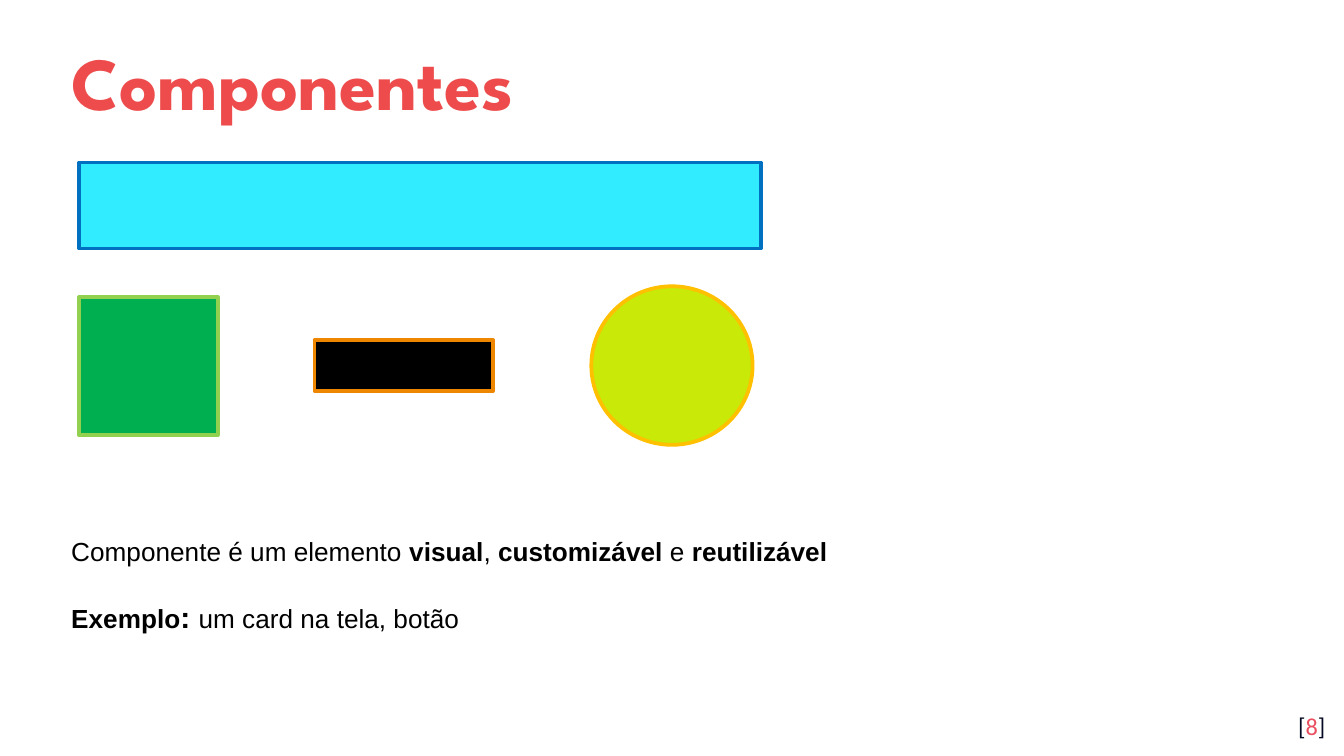
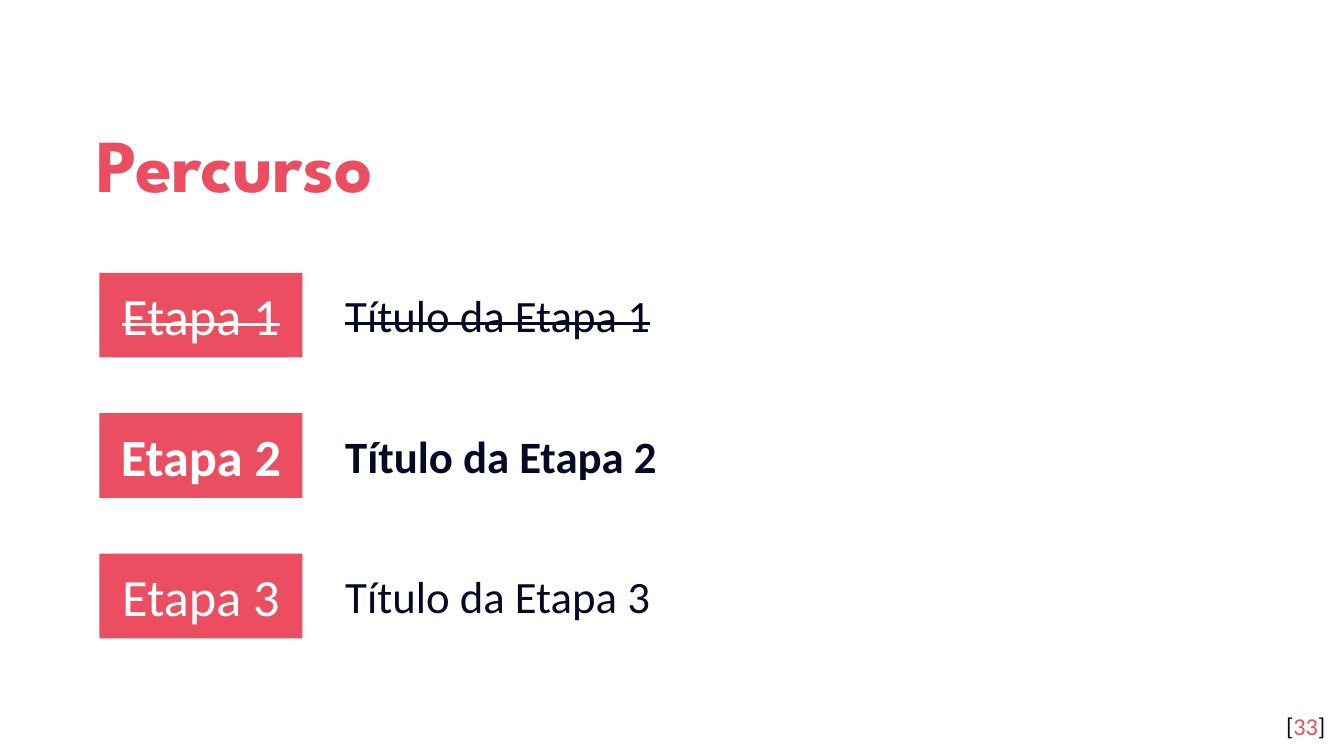
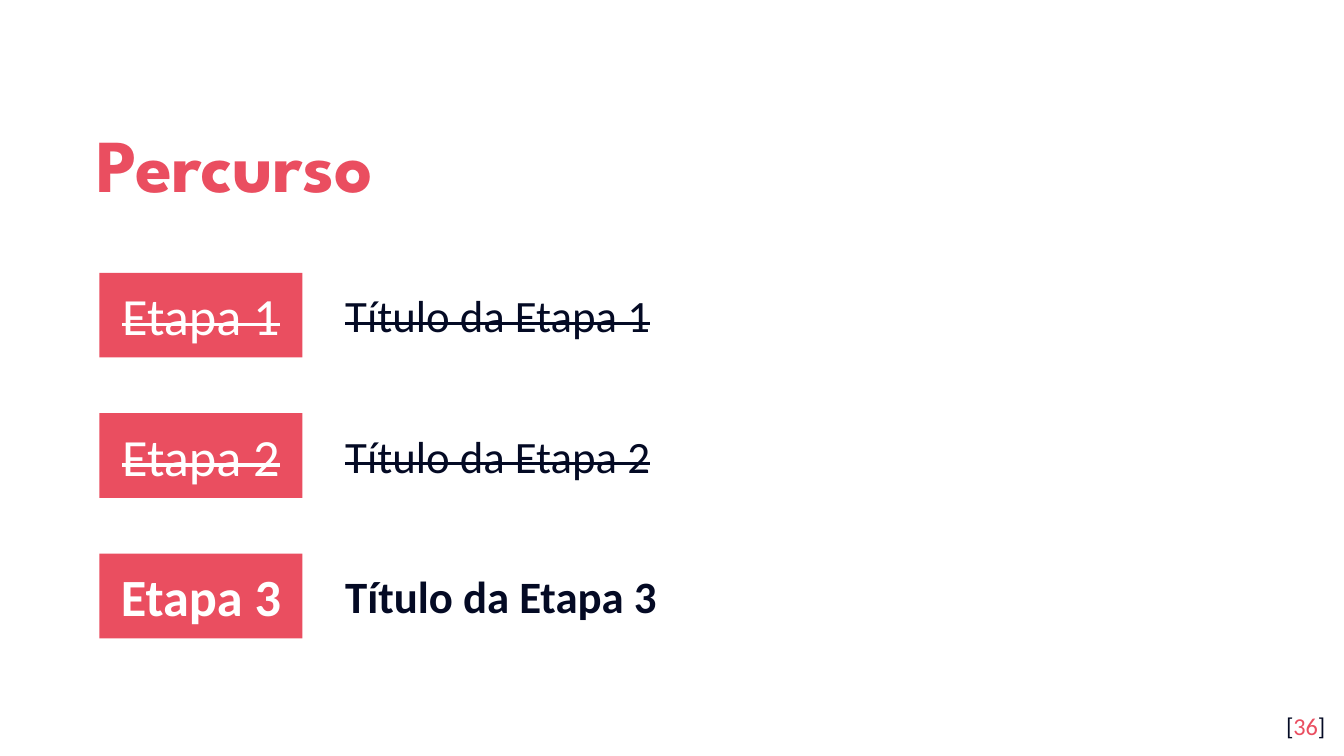
import pptx
import pptx.dml.color
import pptx.enum.shapes
import pptx.enum.text
import pptx.oxml.ns
import pptx.util
from lxml import etree

Inches = pptx.util.Inches
Shape = pptx.enum.shapes.MSO_SHAPE
Align = pptx.enum.text.PP_ALIGN
Anchor = pptx.enum.text.MSO_ANCHOR

RED = "EA4E60"
NAVY = "040A24"
WHITE = "FFFFFF"
BLACK = "000000"
TITLE_FONT = "League Spartan"
STEP_FONT = "Calibri"
BODY_FONT = "Arial"

SLIDE_WIDTH = 10
SLIDE_HEIGHT = SLIDE_WIDTH * 9 / 16
TITLE_ONLY = 5
TITLE_AND_CONTENT = 1

STEP_COUNT = 3
FIRST_STEP_TOP = 2.03
LAST_STEP_TOP = 4.12
STEP_HEIGHT = 0.63
STEP_TITLE_HEIGHT = 0.5


def color(value):
    return pptx.dml.color.RGBColor.from_string(value)


def place(box, left, top, width, height):
    box.left, box.top = Inches(left), Inches(top)
    box.width, box.height = Inches(width), Inches(height)


def set_frame(box, anchor, vertical_inset):
    frame = box.text_frame
    frame.word_wrap = True
    frame.auto_size = pptx.enum.text.MSO_AUTO_SIZE.NONE
    frame.vertical_anchor = anchor
    frame.margin_left = frame.margin_right = Inches(0.1)
    frame.margin_top = frame.margin_bottom = Inches(vertical_inset)
    return frame


def add_span(para, text, font, size, fill, bold=False, strike=False):
    span = para.add_run()
    span.text = text
    span.font.name = font
    span.font.size = pptx.util.Pt(size)
    span.font.color.rgb = color(fill)
    span.font.bold = bold
    if strike:
        span._r.get_or_add_rPr().set("strike", "sngStrike")


def set_title(page, text, left, top, fill):
    title = page.shapes.title
    place(title, left, top, 8.1, 0.92)
    para = set_frame(title, Anchor.MIDDLE, 0.1).paragraphs[0]
    para.alignment = Align.LEFT
    para.line_spacing = 1.15
    add_span(para, text, TITLE_FONT, 40, fill, bold=True)


def add_text_box(page, left, top, width, height, vertical_inset):
    box = page.shapes.add_textbox(Inches(left), Inches(top), Inches(width), Inches(height))
    return set_frame(box, Anchor.TOP, vertical_inset).paragraphs[0]


def add_page_number(page, number):
    para = add_text_box(page, 9.36, 5.19, 0.6, 0.43, 0.1)
    para.alignment = Align.RIGHT
    for text, fill in (("[", NAVY), (str(number), RED), ("]", NAVY)):
        add_span(para, text, STEP_FONT, 13, fill)


def add_figure(page, kind, left, top, width, height, fill, line=None):
    figure = page.shapes.add_shape(
        kind, Inches(left), Inches(top), Inches(width), Inches(height))
    figure.shadow.inherit = False
    figure.fill.solid()
    figure.fill.fore_color.rgb = color(fill)
    if line:
        figure.line.color.rgb = color(line)
        figure.line.width = pptx.util.Pt(2)
    else:
        figure.line.fill.background()
    return figure


def remove_bullet(para):
    properties = para._p.get_or_add_pPr()
    properties.set("marL", "0")
    properties.set("indent", "0")
    etree.SubElement(properties, pptx.oxml.ns.qn("a:buNone"))


def fill_definition(body):
    place(body, 0.43, 3.59, 6.16, 1.52)
    frame = set_frame(body, Anchor.MIDDLE, 0.05)
    definition, example = frame.paragraphs[0], frame.add_paragraph()
    for para, gap in ((definition, 0), (example, 17)):
        para.space_before = pptx.util.Pt(gap)
        remove_bullet(para)
    words = ("Componente é um elemento ", "visual", ", ", "customizável", " e ", "reutilizável")
    for index, text in enumerate(words):
        add_span(definition, text, BODY_FONT, 14, BLACK, bold=index % 2 == 1)
    add_span(example, "Exemplo", BODY_FONT, 14, BLACK, bold=True)
    add_span(example, ": ", BODY_FONT, 16, BLACK, bold=True)
    add_span(example, "um card na tela, botão", BODY_FONT, 14, BLACK)


def add_components_page(deck, number):
    page = deck.slides.add_slide(deck.slide_layouts[TITLE_AND_CONTENT])
    set_title(page, "Componentes", 0.43, 0.09, "EE4C4C")
    add_figure(page, Shape.RECTANGLE, 0.59, 2.21, 1.03, 1.03, "00B050", "92D050")
    add_figure(page, Shape.RECTANGLE, 0.59, 1.21, 5.07, 0.64, "31EBFF", "0070C0")
    add_figure(page, Shape.RECTANGLE, 2.34, 2.53, 1.33, 0.38, BLACK, "EF8600")
    add_figure(page, Shape.OVAL, 4.4, 2.13, 1.2, 1.18, "C9E909", "FFC000")
    fill_definition(page.placeholders[1])
    add_page_number(page, number)


def add_step(page, step, top, bold, strike):
    name = f"Etapa {step}"
    badge = add_figure(page, Shape.RECTANGLE, 0.74, top, 1.51, STEP_HEIGHT, RED)
    para = set_frame(badge, Anchor.MIDDLE, 0.1).paragraphs[0]
    para.alignment = Align.CENTER
    add_span(para, name, STEP_FONT, 28, WHITE, bold, strike)

    title_top = top + (STEP_HEIGHT - STEP_TITLE_HEIGHT) / 2
    para = add_text_box(page, 2.47, title_top, 6.75, STEP_TITLE_HEIGHT, 0.05)
    add_span(para, f"Título da {name}", STEP_FONT, 24, NAVY, bold, strike)


def add_route_page(deck, number, current):
    """Strike the steps already done and embolden the current one."""
    page = deck.slides.add_slide(deck.slide_layouts[TITLE_ONLY])
    set_title(page, "Percurso", 0.62, 0.7, RED)
    pitch = (LAST_STEP_TOP - FIRST_STEP_TOP) / (STEP_COUNT - 1)
    for step in range(1, STEP_COUNT + 1):
        top = FIRST_STEP_TOP + (step - 1) * pitch
        add_step(page, step, top, bold=step == current, strike=step < current)
    add_page_number(page, number)


def main():
    deck = pptx.Presentation()
    deck.slide_width, deck.slide_height = Inches(SLIDE_WIDTH), Inches(SLIDE_HEIGHT)
    add_components_page(deck, 8)
    add_route_page(deck, 33, current=2)
    add_route_page(deck, 36, current=3)
    deck.save("out.pptx")


if __name__ == "__main__":
    main()
